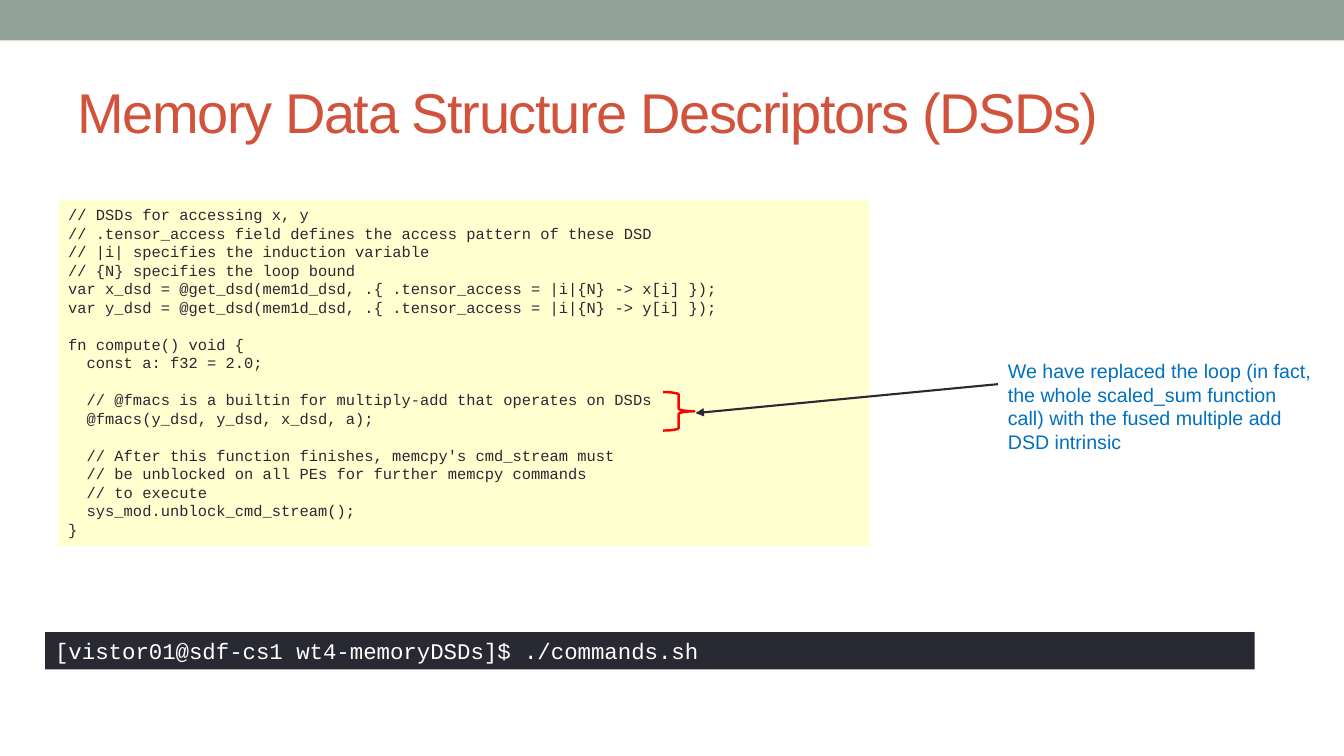
import pptx
import pptx.util
import pptx.dml.color
import pptx.enum.shapes
import pptx.enum.text
import pptx.oxml.ns
import lxml.etree

Cm = pptx.util.Cm
Pt = pptx.util.Pt
qn = pptx.oxml.ns.qn
kinds = pptx.enum.shapes.MSO_SHAPE


def tint(hue):
    return pptx.dml.color.RGBColor.from_string(hue)


def write(shape, lines, size, face, hue, anchor="TOP"):
    frame = shape.text_frame
    frame.word_wrap = True
    frame.vertical_anchor = pptx.enum.text.MSO_ANCHOR[anchor]
    frame.text = "\n".join(lines)
    for para in frame.paragraphs:
        para.alignment = pptx.enum.text.PP_ALIGN.LEFT
        para.font.size = Pt(size)
        para.font.name = face
        para.font.color.rgb = tint(hue)
    return frame.paragraphs


deck = pptx.Presentation()
deck.slide_width = Cm(33.87)
deck.slide_height = Cm(19.05)
slide = deck.slides.add_slide(deck.slide_layouts[6])
shapes = slide.shapes

panels = []
for left, top, width, height, hue in [
    (0, 0, 33.87, 1.02, "93A299"),
    (1.47, 5.05, 20.45, 8.71, "FFFF66"),
    (1.14, 15.93, 30.48, 0.94, "292934"),
]:
    panel = shapes.add_shape(kinds.RECTANGLE, Cm(left), Cm(top), Cm(width), Cm(height))
    panel.shadow.inherit = False
    panel.fill.solid()
    panel.fill.fore_color.rgb = tint(hue)
    panel.line.fill.background()
    panels.append(panel)
band, code, prompt = panels

shade = code._element.spPr.find(qn("a:solidFill"))[0]
lxml.etree.SubElement(shade, qn("a:alpha")).set("val", "30000")

title = shapes.add_textbox(Cm(1.7), Cm(1.47), Cm(30.48), Cm(2.64))
heads = write(title, ["Memory Data Structure Descriptors (DSDs)"], 40, "Arial", "D2533C", "MIDDLE")
heads[0].runs[0].font._element.set("spc", "-100")

blocks = [
    [
        (0, "// DSDs for accessing x, y"),
        (0, "// .tensor_access field defines the access pattern of these DSD"),
        (0, "// |i| specifies the induction variable"),
        (0, "// {N} specifies the loop bound"),
        (0, "var x_dsd = @get_dsd(mem1d_dsd, .{ .tensor_access = |i|{N} -> x[i] });"),
        (0, "var y_dsd = @get_dsd(mem1d_dsd, .{ .tensor_access = |i|{N} -> y[i] });"),
    ],
    [
        (0, "fn compute() void {"),
        (1, "const a: f32 = 2.0;"),
    ],
    [
        (1, "// @fmacs is a builtin for multiply-add that operates on DSDs"),
        (1, "@fmacs(y_dsd, y_dsd, x_dsd, a);"),
    ],
    [
        (1, "// After this function finishes, memcpy's cmd_stream must"),
        (1, "// be unblocked on all PEs for further memcpy commands"),
        (1, "// to execute"),
        (1, "sys_mod.unblock_cmd_stream();"),
        (0, "}"),
    ],
]
rows = [row for block in blocks for row in block]
paras = write(code, [text for depth, text in rows], 11, "Courier New", "292934")
pitch = Pt(13.2)
for para, (depth, text) in zip(paras, rows):
    para.line_spacing = pitch
    para._p.get_or_add_pPr().set("marL", str(depth * pitch))
start = 0
for block in blocks[:-1]:
    start += len(block)
    paras[start].space_before = pitch

brace = shapes.add_shape(kinds.RIGHT_BRACE, Cm(16.71), Cm(9.88), Cm(0.79), Cm(0.97))
brace.shadow.inherit = False
brace.fill.background()
brace.line.color.rgb = tint("FF0000")
brace.line.width = Pt(1.75)

note = shapes.add_textbox(Cm(25.15), Cm(8.92), Cm(8.2), Cm(2.64))
write(note, ["We have replaced the loop (in fact, the whole scaled_sum function call) "
             "with the fused multiple add DSD intrinsic"], 14, "Arial", "0070C0")

arrow = shapes.add_connector(
    pptx.enum.shapes.MSO_CONNECTOR.STRAIGHT, Cm(25.15), Cm(9.68), Cm(17.53), Cm(10.41))
arrow.line.color.rgb = tint("292934")
arrow.line.width = Pt(1.5)
lxml.etree.SubElement(arrow.line._get_or_add_ln(), qn("a:tailEnd")).set("type", "triangle")
lxml.etree.SubElement(arrow._element.spPr, qn("a:effectLst"))

write(prompt, ["[vistor01@sdf-cs1 wt4-memoryDSDs]$ ./commands.sh"], 16, "Courier New", "FFFFFF")

deck.save("out.pptx")
